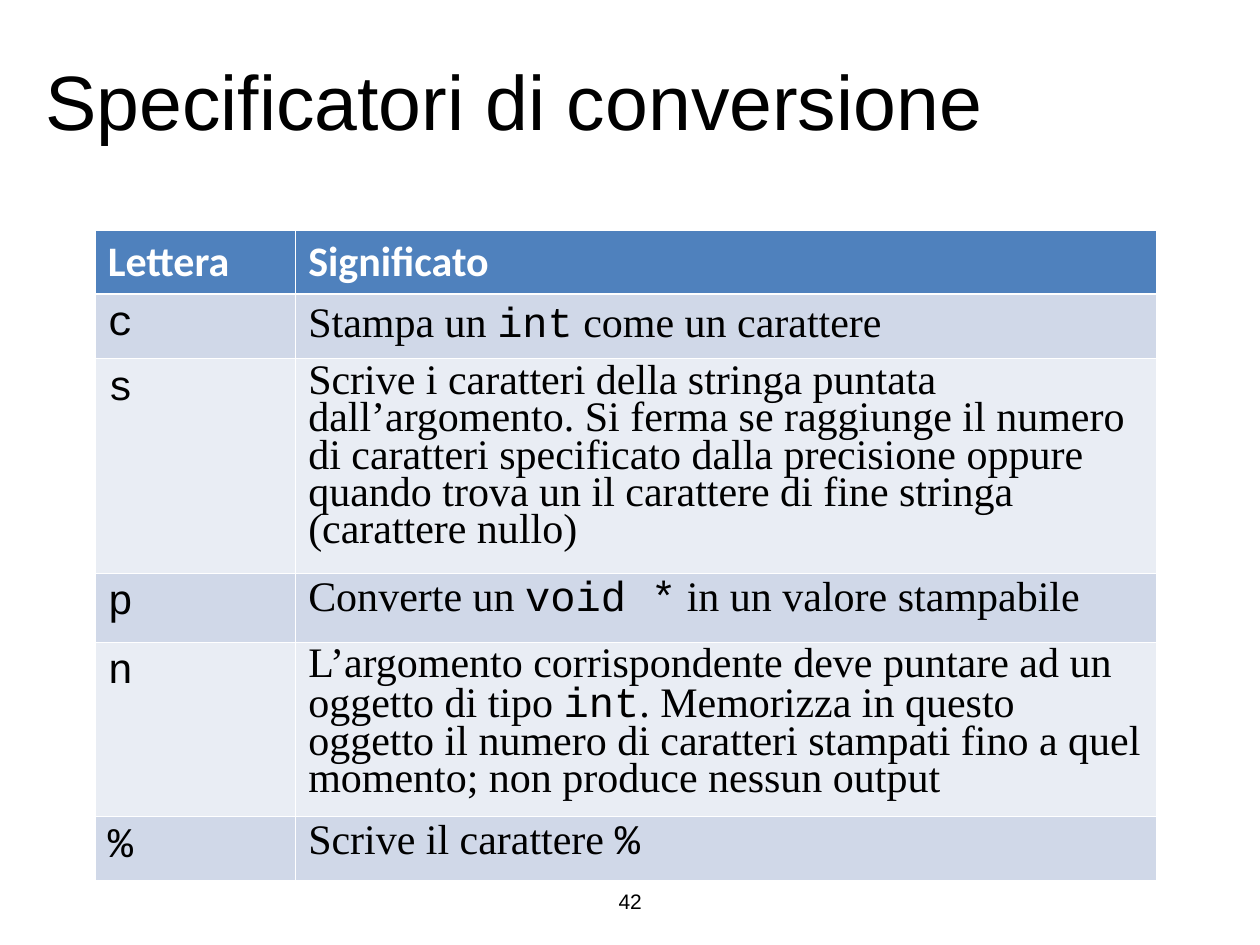
"""Build the slide on conversion specifiers with its table of letters."""
from dataclasses import dataclass

from lxml import etree
from pptx import Presentation
from pptx import util as u
from pptx.dml.color import RGBColor
from pptx.enum import text
from pptx.oxml import ns


@dataclass(frozen=True)
class Theme:
    """Colours, fonts and type sizes of the slide."""
    ink: str = "000000"
    paper: str = "FFFFFF"
    header: str = "4F81BD"
    bands: tuple = ("D0D8E8", "E9EDF4")
    sans: str = "Arial"
    heading: str = "Calibri"
    serif: str = "Times New Roman"
    code: str = "Courier New"
    title_size: int = 44
    table_size: int = 24
    page_size: int = 12
    thin: float = 0.45
    thick: float = 1.47


THEME = Theme()
TIGHT = {"line_spacing": 0.8, "space_before": u.Pt(8)}
COLUMNS = (4.04, 17.36)
HEADINGS = ("Lettera", "Significato")
HEADER_HEIGHT = 1.27
SPECIFIERS = (
    ("c", "Stampa un `int` come un carattere", 1.31, {}),
    ("s", "Scrive i caratteri della stringa puntata dall’argomento. Si ferma "
          "se raggiunge il numero di caratteri specificato dalla precisione "
          "oppure quando trova un il carattere di fine stringa (carattere "
          "nullo)", 4.31, TIGHT),
    ("p", "Converte un `void *` in un valore stampabile", 1.39, TIGHT),
    ("n", "L’argomento corrispondente deve puntare ad un oggetto di tipo "
          "`int`. Memorizza in questo oggetto il numero di caratteri stampati "
          "fino a quel momento; non produce nessun output", 3.51, TIGHT),
    ("%", "Scrive il carattere `%`", 1.29, TIGHT),
)


def apply(target, formats):
    """Set every attribute named in a dict of format values."""
    for name, value in formats.items():
        setattr(target, name, value)


def write(paragraph, wording, size, fonts, color=THEME.ink, bold=False):
    """Write wording, switching between fonts at each backtick."""
    for index, part in enumerate(wording.split("`")):
        if part:
            run = paragraph.add_run()
            run.text = part
            apply(run.font, {"name": fonts[index % len(fonts)],
                             "size": u.Pt(size), "bold": bold})
            run.font.color.rgb = RGBColor.from_string(color)


def fill_frame(frame, wording, size):
    """Centre one line of sans text in a frame."""
    apply(frame, {"word_wrap": True,
                  "vertical_anchor": text.MSO_ANCHOR.MIDDLE})
    line = frame.paragraphs[0]
    line.alignment = text.PP_ALIGN.CENTER
    write(line, wording, size, (THEME.sans,))


def add_title(slide, wording):
    """Place and fill the title placeholder."""
    title = slide.shapes.title
    apply(title, {"left": u.Cm(0.6), "top": u.Cm(0.5),
                  "width": u.Cm(19.54), "height": u.Cm(3)})
    apply(title.text_frame, {"margin_left": 0, "margin_right": 0})
    fill_frame(title.text_frame, wording, THEME.title_size)


def add_page_number(slide, number):
    """Add the centred page number at the foot."""
    page = slide.shapes.add_textbox(u.Cm(8.68), u.Cm(17.65),
                                    u.Cm(8.05), u.Cm(1.02))
    fill_frame(page.text_frame, number, THEME.page_size)


def style_cell(cell, fill, top, bottom):
    """Give a cell its white borders and its fill."""
    properties = cell._tc.get_or_add_tcPr()
    edges = {"a:lnL": THEME.thin, "a:lnR": THEME.thin,
             "a:lnT": top, "a:lnB": bottom}
    for tag, width in edges.items():
        edge = etree.SubElement(properties, ns.qn(tag), w=str(u.Pt(width)))
        paint = etree.SubElement(edge, ns.qn("a:solidFill"))
        etree.SubElement(paint, ns.qn("a:srgbClr"), val=THEME.paper)
    cell.fill.solid()
    cell.fill.fore_color.rgb = RGBColor.from_string(fill)


def add_specifiers(slide):
    """Add the table of specifier letters and meanings."""
    heights = [HEADER_HEIGHT] + [height for _, _, height, _ in SPECIFIERS]
    table = slide.shapes.add_table(
        len(heights), len(COLUMNS), u.Cm(1.92), u.Cm(4.65),
        u.Cm(sum(COLUMNS)), u.Cm(sum(heights))).table
    for column, width in zip(table.columns, COLUMNS):
        column.width = u.Cm(width)
    for row, height in zip(table.rows, heights):
        row.height = u.Cm(height)
    for cell, heading in zip(table.rows[0].cells, HEADINGS):
        style_cell(cell, THEME.header, THEME.thin, THEME.thick)
        write(cell.text_frame.paragraphs[0], heading, THEME.table_size,
              (THEME.heading,), THEME.paper, True)
    for index, (letter, meaning, _, spacing) in enumerate(SPECIFIERS):
        letter_cell, meaning_cell = table.rows[index + 1].cells
        for cell in (letter_cell, meaning_cell):
            style_cell(cell, THEME.bands[index % 2],
                       THEME.thin if index else THEME.thick, THEME.thin)
        write(letter_cell.text_frame.paragraphs[0], letter,
              THEME.table_size, (THEME.code,))
        explanation = meaning_cell.text_frame.paragraphs[0]
        apply(explanation, spacing)
        write(explanation, meaning, THEME.table_size,
              (THEME.serif, THEME.code))


def main():
    """Build and save the slide."""
    deck = Presentation()
    apply(deck, {"slide_width": u.Cm(25.4), "slide_height": u.Cm(19.05)})
    slide = deck.slides.add_slide(deck.slide_layouts.get_by_name("Title Only"))
    add_title(slide, "Specificatori di conversione")
    add_page_number(slide, "42")
    add_specifiers(slide)
    deck.save("out.pptx")


if __name__ == "__main__":
    main()
